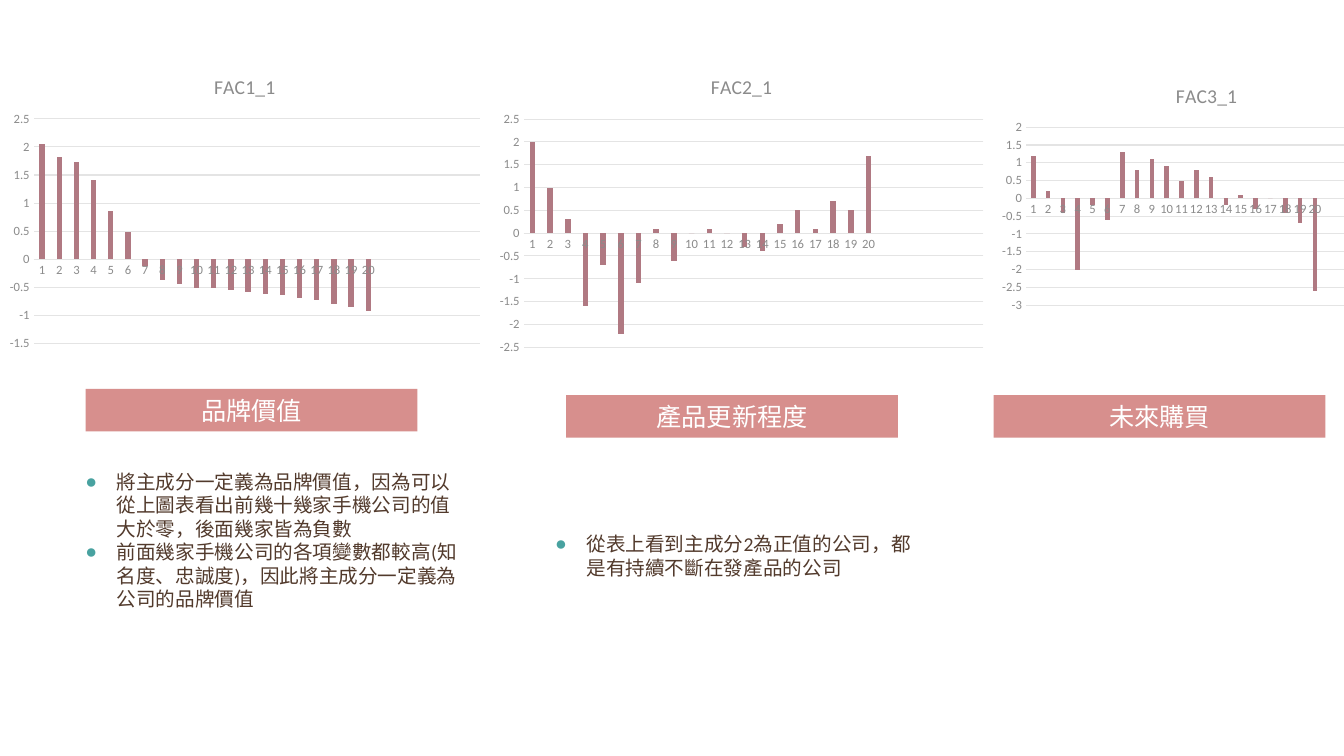
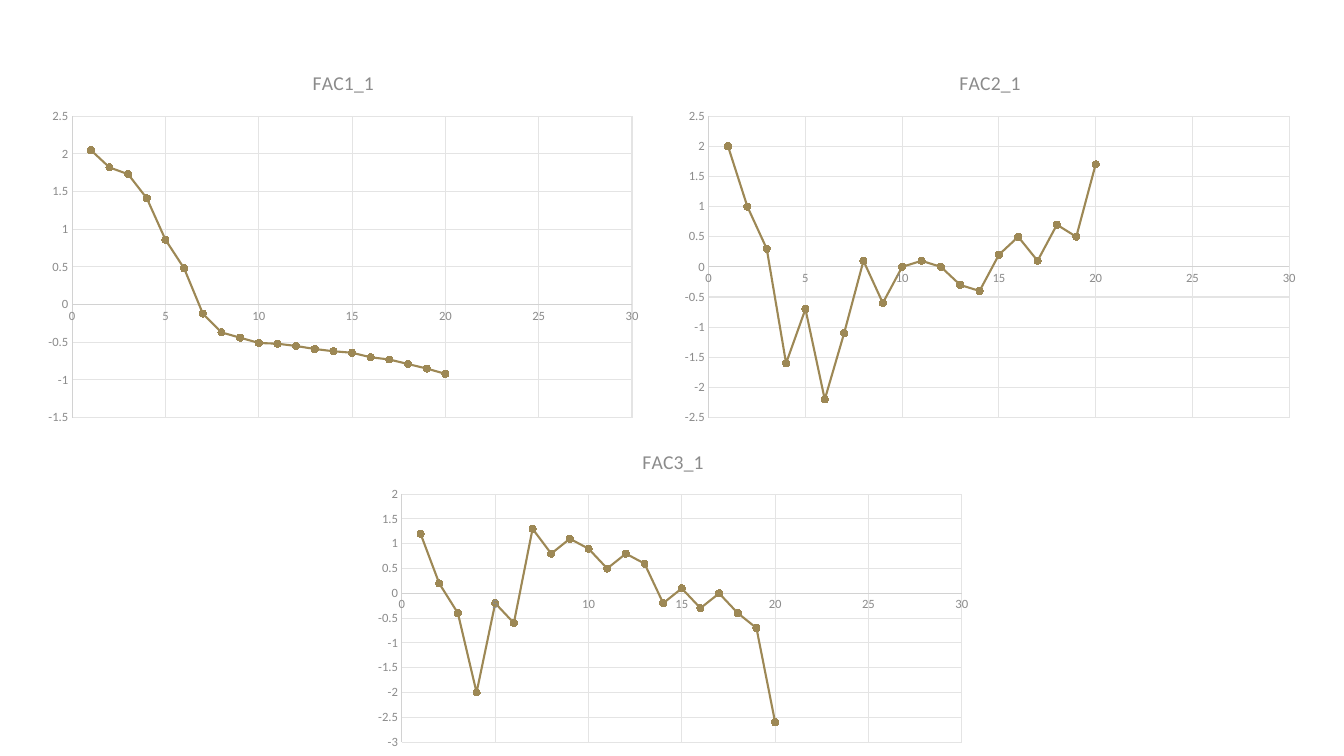
from lxml.etree import SubElement
from pptx import Presentation
from pptx.chart.data import CategoryChartData, XyChartData
from pptx.dml.color import RGBColor
from pptx.enum.chart import XL_CHART_TYPE, XL_MARKER_STYLE, XL_TICK_MARK
from pptx.enum.shapes import MSO_SHAPE
from pptx.enum.text import MSO_ANCHOR, MSO_AUTO_SIZE, PP_ALIGN
from pptx.oxml.ns import qn
from pptx.util import Cm, Pt

# Content: component scores of 20 companies
SCORES = {
    "FAC1_1": [2.05, 1.82, 1.73, 1.41, 0.86, 0.48, -0.12, -0.37, -0.44, -0.51,
               -0.52, -0.55, -0.59, -0.62, -0.64, -0.7, -0.73, -0.79, -0.85, -0.92],
    "FAC2_1": [2, 1, 0.3, -1.6, -0.7, -2.2, -1.1, 0.1, -0.6, 0,
               0.1, 0, -0.3, -0.4, 0.2, 0.5, 0.1, 0.7, 0.5, 1.7],
    "FAC3_1": [1.2, 0.2, -0.4, -2, -0.2, -0.6, 1.3, 0.8, 1.1, 0.9,
               0.5, 0.8, 0.6, -0.2, 0.1, -0.3, 0, -0.4, -0.7, -2.6],
}
EMPTY_SLOTS = 6  # unused categories to the right of the columns

# Places are left, top, width, height in centimetres
COLUMN_PLACES = [(0, 1.47, 12.34, 7.52), (12.34, 1.47, 12.7, 7.62), (25.04, 1.73, 10.74, 6.27)]
SCATTER_PLACES = [(0.91, 1.32, 15.49, 9.58), (16.94, 1.32, 16.03, 9.58), (9.22, 10.9, 15.49, 8.15)]
BAND_SIZE = (8.36, 1.07)
BANDS = [("品牌價值", 2.16, 9.8), ("產品更新程度", 14.27, 9.96), ("未來購買", 25.04, 9.96)]
NOTES = [
    ((1.9, 11.71, 9.9, 4.44), [
        "將主成分一定義為品牌價值，因為可以從上圖表看出前幾十幾家手機公司的值大於零，後面幾家皆為負數",
        "前面幾家手機公司的各項變數都較高(知名度、忠誠度)，因此將主成分一定義為公司的品牌價值",
    ]),
    ((13.74, 13.28, 9.9, 1.45), ["從表上看到主成分2為正值的公司，都是有持續不斷在發產品的公司"]),
]

# Shared style
LATIN_FONT, CJK_FONT = "Calibri", "Noto Sans CJK SC"
BAND, WHITE, BODY, BULLET = "D78F8D", "FFFFFF", "523A2C", "48A2A0"
COLUMN, CURVE = "B07982", "9D8855"
LABEL, GRID, AXIS = "8B8B8B", "E4E4E4", "D2D2D2"


def color(value):
    return RGBColor.from_string(value)


def place(lengths):
    return [Cm(length) for length in lengths]


def style_font(font, size, tint, name=LATIN_FONT):
    font.name, font.size, font.bold = name, Pt(size), False
    font.color.rgb = color(tint)


def style_line(line, tint, width=0.75):
    line.color.rgb = color(tint)
    line.width = Pt(width)


def add_text(para, text, size, tint, font=LATIN_FONT, align=PP_ALIGN.LEFT, bullet=None):
    para.alignment = align
    span = para.add_run()
    span.text = text
    style_font(span.font, size, tint, font)
    if font == CJK_FONT:
        SubElement(span.font._element, qn("a:ea")).set("typeface", font)
    if bullet:
        props = para._p.get_or_add_pPr()
        props.set("marL", str(Cm(0.79)))
        props.set("indent", str(-Cm(0.79)))
        tint_node = SubElement(props, qn("a:buClr"))
        SubElement(tint_node, qn("a:srgbClr")).set("val", bullet)
        SubElement(props, qn("a:buFont")).set("typeface", "Arial")
        SubElement(props, qn("a:buChar")).set("char", "●")


def add_band(page, text, left, top):
    band = page.shapes.add_shape(MSO_SHAPE.RECTANGLE, *place((left, top, *BAND_SIZE)))
    band.shadow.inherit = False
    band.fill.solid()
    band.fill.fore_color.rgb = color(BAND)
    band.line.fill.background()
    band.text_frame.vertical_anchor = MSO_ANCHOR.MIDDLE
    add_text(band.text_frame.paragraphs[0], text, 18, WHITE, CJK_FONT, PP_ALIGN.CENTER)


def add_notes(page, where, lines):
    frame = page.shapes.add_textbox(*place(where)).text_frame
    frame.word_wrap = True
    frame.auto_size = MSO_AUTO_SIZE.SHAPE_TO_FIT_TEXT
    for index, line in enumerate(lines):
        para = frame.add_paragraph() if index else frame.paragraphs[0]
        add_text(para, line, 14, BODY, bullet=BULLET)


def style_axis(axis, line, grid):
    axis.major_tick_mark = axis.minor_tick_mark = XL_TICK_MARK.NONE
    style_font(axis.tick_labels.font, 9, LABEL)
    axis.tick_labels.number_format = "General"
    axis.tick_labels.number_format_is_linked = False
    # Keep the labels level
    axis._element.find(qn("c:txPr")).find(qn("a:bodyPr")).set("rot", "-60000000")
    axis.has_major_gridlines = grid
    if grid:
        style_line(axis.major_gridlines.format.line, GRID)
    if line:
        style_line(axis.format.line, line)
    else:
        axis.format.line.fill.background()


def add_plain_chart(page, kind, where, title, data):
    chart = page.shapes.add_chart(kind, *place(where), data).chart
    style_font(chart.font, 10, "4D4D4D")
    chart.has_legend = False
    chart.has_title = True
    chart.chart_title.include_in_layout = False
    add_text(chart.chart_title.text_frame.paragraphs[0], title, 14, LABEL, align=PP_ALIGN.CENTER)
    chart.plots[0].vary_by_categories = False
    return chart


def add_columns(page, where, name, scores):
    data = CategoryChartData()
    data.categories = [str(n + 1) for n in range(len(scores))] + [""] * EMPTY_SLOTS
    data.add_series(name, scores + [None] * EMPTY_SLOTS)
    chart = add_plain_chart(page, XL_CHART_TYPE.COLUMN_CLUSTERED, where, name, data)
    style_axis(chart.category_axis, GRID, grid=False)
    style_axis(chart.value_axis, None, grid=True)
    plot = chart.plots[0]
    plot.gap_width, plot.overlap = 219, -27
    series = plot.series[0]
    series.invert_if_negative = False
    series.format.fill.solid()
    series.format.fill.fore_color.rgb = color(COLUMN)


def add_scatter(page, where, name, scores):
    data = XyChartData()
    points = data.add_series(name)
    for number, score in enumerate(scores, 1):
        points.add_data_point(number, score)
    chart = add_plain_chart(page, XL_CHART_TYPE.XY_SCATTER_LINES, where, name, data)
    for axis in (chart.category_axis, chart.value_axis):
        style_axis(axis, AXIS, grid=True)
    numbers = chart.category_axis
    numbers.minimum_scale, numbers.maximum_scale, numbers.major_unit = 0, 30, 5
    series = chart.plots[0].series[0]
    series.smooth = False
    style_line(series.format.line, CURVE, 1.5)
    marker = series.marker
    marker.style, marker.size = XL_MARKER_STYLE.CIRCLE, 5
    marker.format.fill.solid()
    marker.format.fill.fore_color.rgb = color(CURVE)
    style_line(marker.format.line, CURVE)


def main():
    deck = Presentation()
    deck.slide_width, deck.slide_height = Cm(33.87), Cm(19.05)
    blank = deck.slide_layouts[6]

    # Columns with their meaning
    page = deck.slides.add_slide(blank)
    for where, (name, scores) in zip(COLUMN_PLACES, SCORES.items()):
        add_columns(page, where, name, scores)
    for band in BANDS:
        add_band(page, *band)
    for where, lines in NOTES:
        add_notes(page, where, lines)

    # Curves of the same scores
    page = deck.slides.add_slide(blank)
    for where, (name, scores) in zip(SCATTER_PLACES, SCORES.items()):
        add_scatter(page, where, name, scores)

    deck.save("out.pptx")


if __name__ == "__main__":
    main()
